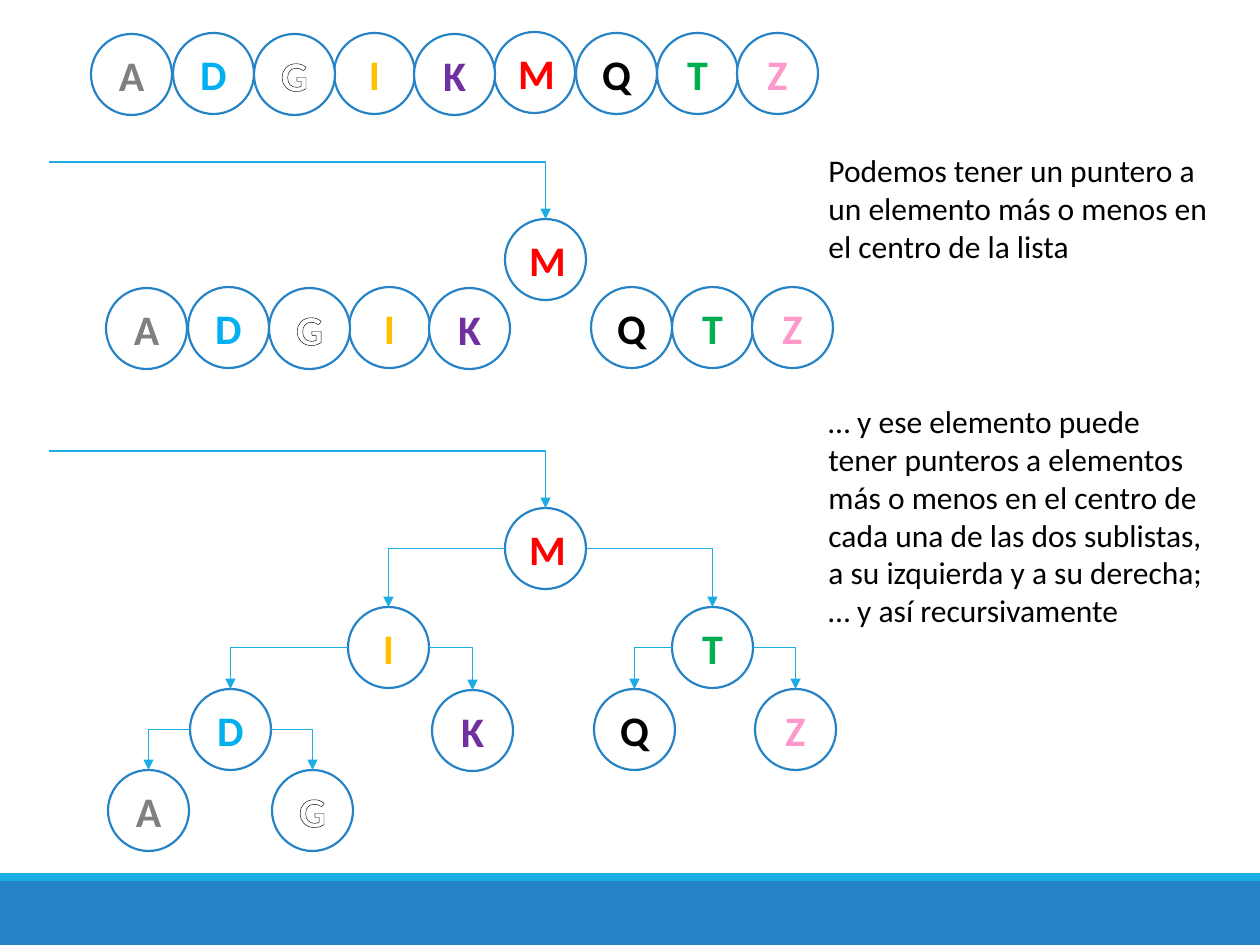
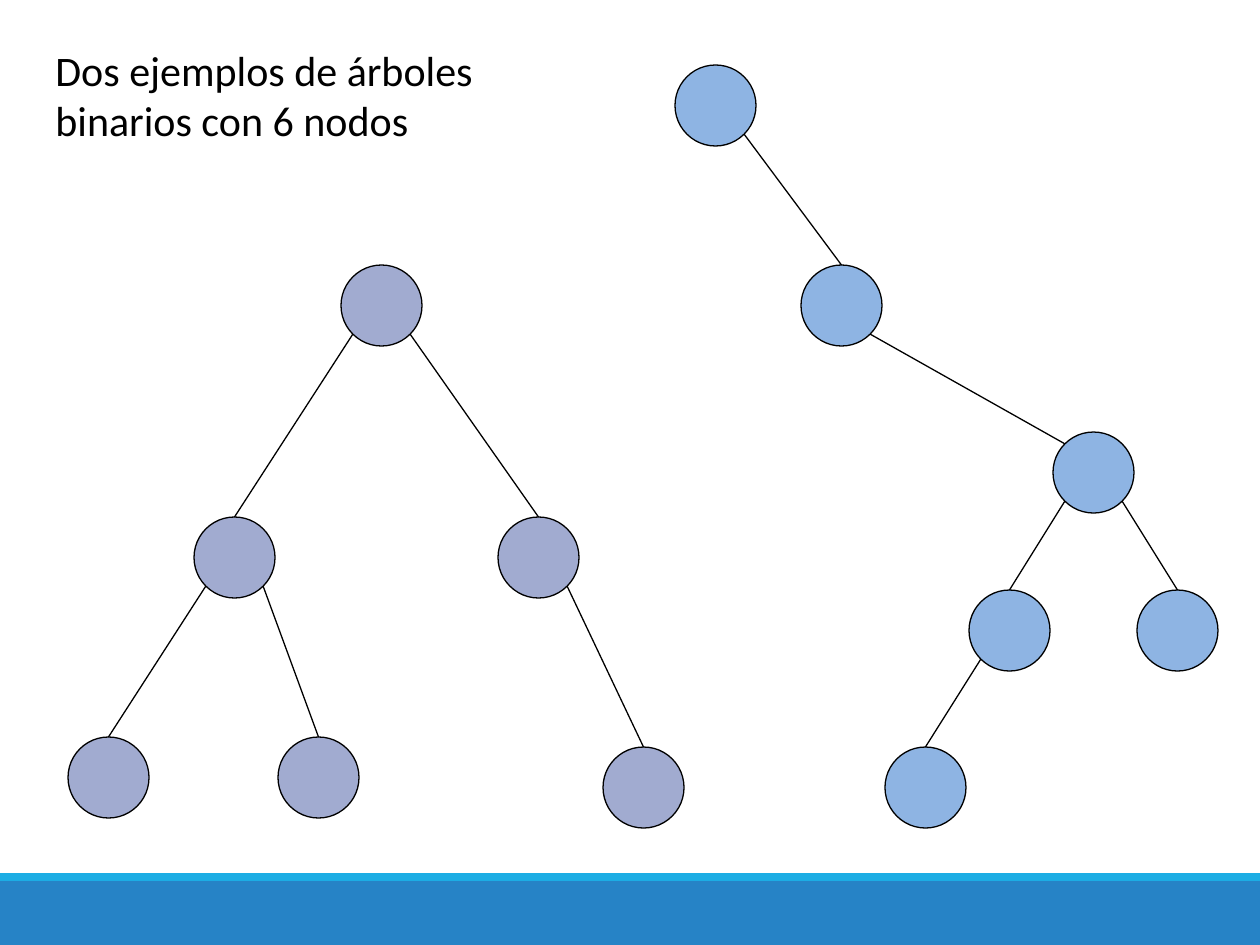
"""Build two slides on sorted lists and binary trees."""
from dataclasses import dataclass
from math import sqrt
from typing import Optional

from lxml.etree import SubElement
from pptx import Presentation
from pptx.dml.color import RGBColor
from pptx.enum.shapes import MSO_CONNECTOR as Wire, MSO_SHAPE as Form
from pptx.enum.text import MSO_AUTO_SIZE as Fit, PP_ALIGN as Align
from pptx.oxml import parse_xml
from pptx.oxml.ns import nsdecls, qn
from pptx.util import Emu, Pt

WIDE, HIGH = 1260, 945
SIZE = 81
HALF = SIZE / 2
BLUE, CYAN = "2683C6", "1CADE4"
BLACK, WHITE = "000000", "FFFFFF"
LILAC, SKY = "A1ABD0", "8EB4E3"
FONT = "Calibri"
LEFT, RIGHT = 1, 3


@dataclass
class Item:
    """A letter with its colour, its place in the list and in the tree."""
    sign: str
    tint: str
    row: tuple[int, int]
    tree: tuple[int, int]
    up: Optional[str] = None


@dataclass
class Node:
    """A plain tree node, with the index of its parent."""
    x: int
    y: int
    up: Optional[int] = None
    side: bool = False


@dataclass
class Note:
    """A text box with its lines."""
    x: int
    y: int
    w: int
    h: int
    size: int
    lines: tuple[str, ...]


ITEMS = (
    Item("M", "FF0000", (494, 32), (505, 508)),
    Item("T", "00B050", (657, 33), (672, 607), "M"),
    Item("Q", BLACK, (576, 33), (594, 689), "T"),
    Item("Z", "FF99CC", (737, 33), (755, 689), "T"),
    Item("I", "FFC000", (334, 33), (348, 607), "M"),
    Item("D", "00B0F0", (173, 33), (190, 689), "I"),
    Item("A", "808080", (91, 34), (108, 770), "D"),
    Item("G", WHITE, (254, 34), (272, 770), "D"),
    Item("K", "7030A0", (414, 34), (432, 690), "I"),
)
EVEN = (
    Node(341, 265),
    Node(194, 517, 0),
    Node(498, 517, 0),
    Node(68, 737, 1),
    Node(278, 737, 1),
    Node(603, 747, 2),
)
STEEP = (
    Node(675, 65),
    Node(801, 265, 0),
    Node(1053, 432, 1, True),
    Node(969, 590, 2),
    Node(1137, 590, 2),
    Node(885, 747, 3),
)
NOTES = (
    Note(816, 145, 410, 127, 18, (
        "Podemos tener un puntero a",
        "un elemento más o menos en",
        "el centro de la lista")),
    Note(816, 396, 410, 242, 18, (
        "… y ese elemento puede",
        "tener punteros a elementos",
        "más o menos en el centro de",
        "cada una de las dos sublistas,",
        "a su izquierda y a su derecha;",
        "… y así recursivamente")),
)
TITLE = Note(43, 38, 447, 115, 24, (
    "Dos ejemplos de árboles", "binarios con 6 nodos"))


def px(n: float) -> Emu:
    """Turn pixels into EMU."""
    return Emu(round(n * 914400 / 126))


def hue(code: str) -> RGBColor:
    """Turn a hex string into a colour."""
    return RGBColor.from_string(code)


def write(para, text: str, *, size: int, tint: str = BLACK,
          bold: bool = False, align=Align.LEFT, edge: str = "") -> None:
    """Put formatted text in a paragraph."""
    para.alignment = align
    run = para.add_run()
    run.text = text
    font = run.font
    font.name, font.size, font.bold = FONT, Pt(size), bold
    font.color.rgb = hue(tint)
    if edge:
        rim = parse_xml(
            f'<a:ln {nsdecls("a")} w="9525"><a:solidFill>'
            f'<a:srgbClr val="{edge}"/></a:solidFill></a:ln>')
        run._r.get_or_add_rPr().insert(0, rim)


def block(slide, form, x: float, y: float, w: float, h: float, fill: str,
          line: str = "", thick: float = 0.75):
    """Draw a filled shape."""
    shape = slide.shapes.add_shape(form, px(x), px(y), px(w), px(h))
    shape.shadow.inherit = False
    shape.fill.solid()
    shape.fill.fore_color.rgb = hue(fill)
    if line:
        shape.line.color.rgb = hue(line)
        shape.line.width = Pt(thick)
    else:
        shape.line.fill.background()
    return shape


def disc(slide, item: Item, x: float, y: float):
    """Draw a letter in a circle."""
    shape = block(slide, Form.OVAL, x, y, SIZE, SIZE, WHITE, BLUE, 1.25)
    write(shape.text_frame.paragraphs[0], item.sign, size=24, tint=item.tint,
          bold=True, align=Align.CENTER,
          edge=BLACK if item.tint == WHITE else "")
    return shape


def wire(slide, kind, start: tuple, end: tuple, tint: str, thick: float):
    """Draw a connector without a shadow."""
    link = slide.shapes.add_connector(
        kind, *(px(n) for n in (*start, *end)))
    link.line.color.rgb = hue(tint)
    link.line.width = Pt(thick)
    SubElement(link.element.spPr, qn("a:effectLst"))
    return link


def arrow(slide, start: tuple, end: tuple, child, head=None, site: int = 0):
    """Draw a bent arrow to the top of a circle."""
    link = wire(slide, Wire.ELBOW, start, end, CYAN, 1)
    frame = link.element.spPr
    frame.find(qn("a:prstGeom")).set("prst", "bentConnector2")
    SubElement(frame.find(qn("a:ln")), qn("a:tailEnd"), type="triangle")
    if head is not None:
        link.begin_connect(head, site)
        joint = next(link.element.iter(qn("a:stCxn")))
        joint.set("idx", str(2 * site))
    link.end_connect(child, 0)


def enter(slide, root, x: float, y: float) -> None:
    """Draw the pointer that enters at the root."""
    arrow(slide, (49, y - 57), (x + HALF, y), root)


def note(slide, data: Note) -> None:
    """Draw a text box, one paragraph a line."""
    box = slide.shapes.add_textbox(
        px(data.x), px(data.y), px(data.w), px(data.h))
    frame = box.text_frame
    frame.word_wrap = False
    frame.auto_size = Fit.SHAPE_TO_FIT_TEXT
    for i, line in enumerate(data.lines):
        para = frame.add_paragraph() if i else frame.paragraphs[0]
        write(para, line, size=data.size)


def page(deck):
    """Add a blank slide with the bottom bands."""
    slide = deck.slides.add_slide(deck.slide_layouts[6])
    block(slide, Form.RECTANGLE, 0, 881, WIDE, HIGH - 881, BLUE)
    block(slide, Form.RECTANGLE, 0, 873, WIDE, 8, CYAN)
    return slide


def split(slide) -> None:
    """Draw the list with its middle letter raised."""
    for item in ITEMS:
        x, y = item.row
        if item.up:
            disc(slide, item, x + 15, y + 254)
        else:
            root = disc(slide, item, 505, 219)
            enter(slide, root, 505, 219)


def search(slide) -> None:
    """Draw the letters as a search tree."""
    discs = {i.sign: disc(slide, i, *i.tree) for i in ITEMS}
    spots = {i.sign: i.tree for i in ITEMS}
    for item in ITEMS:
        x, y = item.tree
        child = discs[item.sign]
        if not item.up:
            enter(slide, child, x, y)
            continue
        left, top = spots[item.up]
        site = LEFT if x < left else RIGHT
        start = (left if site == LEFT else left + SIZE, top + HALF)
        arrow(slide, start, (x + HALF, y), child, discs[item.up], site)


def tree(slide, nodes: tuple[Node, ...], fill: str) -> None:
    """Draw a plain tree with straight edges."""
    reach = HALF / sqrt(2)
    for node in nodes:
        block(slide, Form.OVAL, node.x, node.y, SIZE, SIZE, fill, BLACK)
    for node in nodes:
        if node.up is None:
            continue
        head = nodes[node.up]
        way = -1 if node.x < head.x else 1
        start = (head.x + HALF + way * reach, head.y + HALF + reach)
        end = (node.x + HALF, node.y)
        if node.side:
            end = (end[0] - way * reach, node.y + HALF - reach)
        wire(slide, Wire.STRAIGHT, start, end, BLACK, 0.75)


def main() -> None:
    """Build and save the deck."""
    deck = Presentation()
    deck.slide_width, deck.slide_height = px(WIDE), px(HIGH)

    first = page(deck)
    split(first)
    for item in ITEMS:
        disc(first, item, *item.row)
    search(first)
    for data in NOTES:
        note(first, data)

    second = page(deck)
    tree(second, EVEN, LILAC)
    note(second, TITLE)
    tree(second, STEEP, SKY)
    deck.save("out.pptx")


main()
